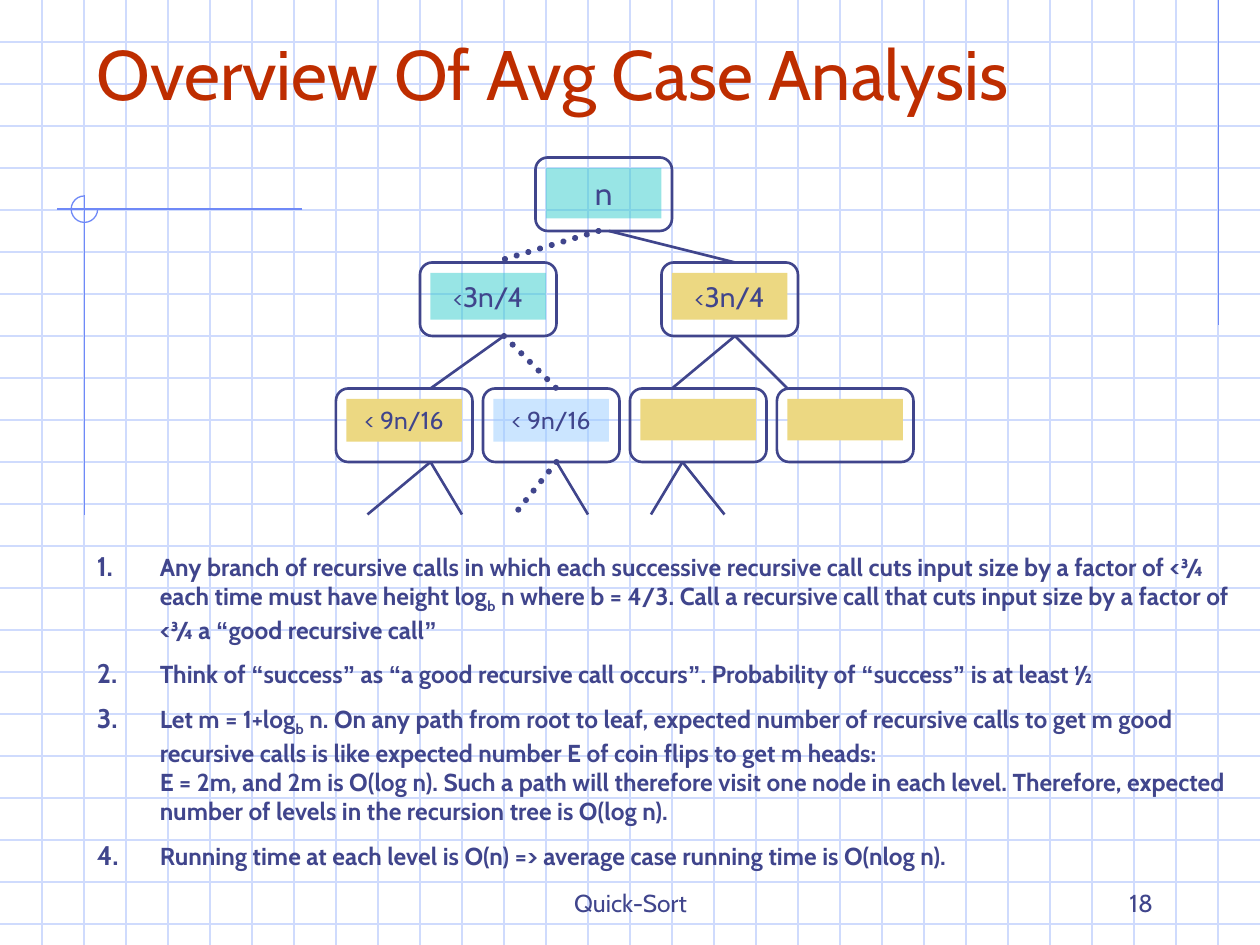
from itertools import groupby

from lxml import etree
from pptx import Presentation
from pptx.dml.color import RGBColor
from pptx.enum.dml import MSO_LINE
from pptx.enum.shapes import MSO_CONNECTOR, MSO_SHAPE
from pptx.enum.text import MSO_ANCHOR, PP_ALIGN
from pptx.oxml.ns import qn
from pptx.util import Inches, Pt

STRAIGHT = MSO_CONNECTOR.STRAIGHT
ROUND_DOT = MSO_LINE.ROUND_DOT
FRAME, RECTANGLE, ARC = MSO_SHAPE.FLOWCHART_ALTERNATE_PROCESS, MSO_SHAPE.RECTANGLE, MSO_SHAPE.ARC
TOP, BOTTOM = MSO_ANCHOR.TOP, MSO_ANCHOR.BOTTOM
LEFT, CENTER, RIGHT = PP_ALIGN.LEFT, PP_ALIGN.CENTER, PP_ALIGN.RIGHT

FONT, QUOTE_FONT = "Cabin", "Arial"
COLORS = {
    "ink": "40458C",
    "title": "BE2D00",
    "grid": "CFDBFD",
    "accent": "6F89F7",
    "teal": "33CCCC",
    "sand": "ECD882",
    "sky": "99CCFF",
}
TRANSLUCENT = ("teal", "sky")
UNIT = 1 / 12

NODES = [
    (19, 0, "teal", 0.4, [("n", 18)]),
    (8, 10, "teal", 0.37, [("<", 14), ("3n/4", 16)]),
    (31, 10, "sand", 0.37, [("<", 14), ("3n/4", 16)]),
    (0, 22, "sand", 0.34, [("< 9n/16", 14)]),
    (14, 22, "sky", 0.34, [("< 9n/16", 14)]),
    (28, 22, "sand", 0.33, []),
    (42, 22, "sand", 0.33, []),
]
EDGES = [
    (26, 7, 38, 10, False),
    (25, 7, 15, 10, True),
    (16, 17, 9, 22, False),
    (16, 17, 21, 22, True),
    (38, 17, 32, 22, False),
    (38, 17, 43, 22, False),
    (9, 29, 3, 34, False),
    (9, 29, 12, 34, False),
    (21, 29, 17, 34, True),
    (21, 29, 24, 34, False),
    (33, 29, 30, 34, False),
    (33, 29, 37, 34, False),
]
SUBSCRIPT, BREAK = "b", "\n"
POINTS = [
    [
        "Any branch of recursive calls in which each successive recursive call cuts input size "
        "by a factor of <¾ each time must have height log",
        SUBSCRIPT,
        " n where b = 4/3. Call a recursive call that cuts input size by a factor of <¾ a "
        "“good recursive call”",
    ],
    ["Think of “success” as “a good recursive call occurs”. Probability of “success” is at least ½"],
    [
        "Let m = 1+log",
        SUBSCRIPT,
        " n. On any path from root to leaf, expected number of recursive calls to get m good "
        "recursive calls is like expected number E of coin flips to get m heads:",
        BREAK,
        "E = 2m, and 2m is O(log n). Such a path will therefore visit one node in each level. "
        "Therefore, expected number of levels in the recursion tree is O(log n).",
    ],
    ["Running time at each level is O(n) => average case running time is O(nlog n)."],
]


def rgb(name):
    return RGBColor.from_string(COLORS[name])


def style_font(font, size, color="ink", name=FONT, bold=False):
    font.name, font.size, font.bold = name, Pt(size), bold
    font.color.rgb = rgb(color)


def add_line(page, x1, y1, x2, y2, color, width, dotted=False):
    line = page.shapes.add_connector(STRAIGHT, Inches(x1), Inches(y1), Inches(x2), Inches(y2))
    line.line.color.rgb = rgb(color)
    line.line.width = Pt(width)
    if dotted:
        line.line.dash_style = ROUND_DOT
        line.line._get_or_add_ln().set("cap", "rnd")
    etree.SubElement(line._element.spPr, qn("a:effectLst"))


def add_panel(page, kind, left, top, width, height, fill=None, outline=None, weight=1.5):
    panel = page.shapes.add_shape(kind, Inches(left), Inches(top), Inches(width), Inches(height))
    panel.shadow.inherit = False
    if fill:
        panel.fill.solid()
        panel.fill.fore_color.rgb = rgb(fill)
        if fill in TRANSLUCENT:
            color = panel._element.spPr.find(qn("a:solidFill"))[0]
            etree.SubElement(color, qn("a:alpha"), val="50000")
    else:
        panel.fill.background()
    if outline:
        panel.line.color.rgb = rgb(outline)
        panel.line.width = Pt(weight)
    else:
        panel.line.fill.background()
    return panel


def add_textbox(page, left, top, width, height, anchor=TOP):
    box = page.shapes.add_textbox(Inches(left), Inches(top), Inches(width), Inches(height))
    box.text_frame.word_wrap = True
    box.text_frame.vertical_anchor = anchor
    return box.text_frame


def add_label(page, left, top, width, height, text, size, color="ink", align=LEFT):
    frame = add_textbox(page, left, top, width, height, BOTTOM)
    frame.text = text
    para = frame.paragraphs[0]
    para.alignment = align
    style_font(para.runs[0].font, size, color)


def add_grid(page, width, height, step):
    for row in range(1, int(height / step) + 1):
        add_line(page, 0, row * step, width, row * step, "grid", 0.75)
    for column in range(1, round(width / step)):
        add_line(page, column * step, 0, column * step, height, "grid", 0.75)


def add_ornament(page, left, top):
    add_line(page, 9.67, 0, 9.67, 2.58, "accent", 0.75)
    add_line(page, left + 1.73, top, left - 0.22, top, "accent", 0.75)
    add_line(page, left, top - 0.11, left, top + 2.43, "accent", 0.75)
    radius = 0.105
    arc = add_panel(page, ARC, left - radius, top - radius, 2 * radius, 2 * radius,
                    outline="accent", weight=0.75)
    arc.adjustments[0], arc.adjustments[1] = 0, 162


def add_node(page, left, top, fill, fill_height, parts):
    add_panel(page, FRAME, left, top, 13 * UNIT, 7 * UNIT, outline="ink")
    panel = add_panel(page, RECTANGLE, left + UNIT, top + UNIT, 11 * UNIT, fill_height, fill)
    frame = panel.text_frame
    frame.vertical_anchor = TOP
    para = frame.paragraphs[0]
    para.alignment = CENTER
    for text, size in parts:
        span = para.add_run()
        span.text = text
        style_font(span.font, size)


def add_tree(page, left, top):
    for x1, y1, x2, y2, dotted in EDGES:
        add_line(page, left + x1 * UNIT, top + y1 * UNIT, left + x2 * UNIT, top + y2 * UNIT,
                 "ink", 3.5 if dotted else 1.5, dotted)
    for x, y, fill, fill_height, parts in NODES:
        add_node(page, left + x * UNIT, top + y * UNIT, fill, fill_height, parts)


def number_paragraph(para):
    properties = para._p.get_or_add_pPr()
    properties.set("marL", str(Inches(0.5)))
    properties.set("indent", str(-Inches(0.5)))
    color = etree.SubElement(properties, qn("a:buClr"))
    etree.SubElement(color, qn("a:srgbClr"), val=COLORS["ink"])
    etree.SubElement(properties, qn("a:buSzPct"), val="110000")
    etree.SubElement(properties, qn("a:buFont"), typeface=FONT)
    etree.SubElement(properties, qn("a:buAutoNum"), type="arabicPeriod")


def add_points(page, left, top, width, height):
    frame = add_textbox(page, left, top, width, height)
    for index, parts in enumerate(POINTS):
        para = frame.add_paragraph() if index else frame.paragraphs[0]
        number_paragraph(para)
        if index:
            para.space_before = Pt(8.8)
        for part in parts:
            if part == BREAK:
                para.add_line_break()
                continue
            for is_quote, letters in groupby(part, lambda letter: letter in "“”"):
                span = para.add_run()
                span.text = "".join(letters)
                style_font(span.font, 14, name=QUOTE_FONT if is_quote else FONT, bold=True)
                if part == SUBSCRIPT:
                    span.font._element.set("baseline", "-25000")


def main():
    deck = Presentation()
    deck.slide_width, deck.slide_height = Inches(10), Inches(7.5)
    page = deck.slides.add_slide(deck.slide_layouts[6])
    add_grid(page, 10, 7.5, 1 / 3)
    add_ornament(page, 0.67, 1.66)
    add_label(page, 3.42, 6.83, 3.17, 0.5, "Quick-Sort", 14, align=CENTER)
    add_label(page, 7.17, 6.83, 2.08, 0.5, "18", 14, align=RIGHT)
    add_label(page, 0.67, 0.18, 8.5, 0.78, "Overview Of Avg Case Analysis", 40, "title")
    add_tree(page, 32 * UNIT, 15 * UNIT)
    add_points(page, 0.67, 4.33, 9.33, 3.05)
    deck.save("out.pptx")


if __name__ == "__main__":
    main()
